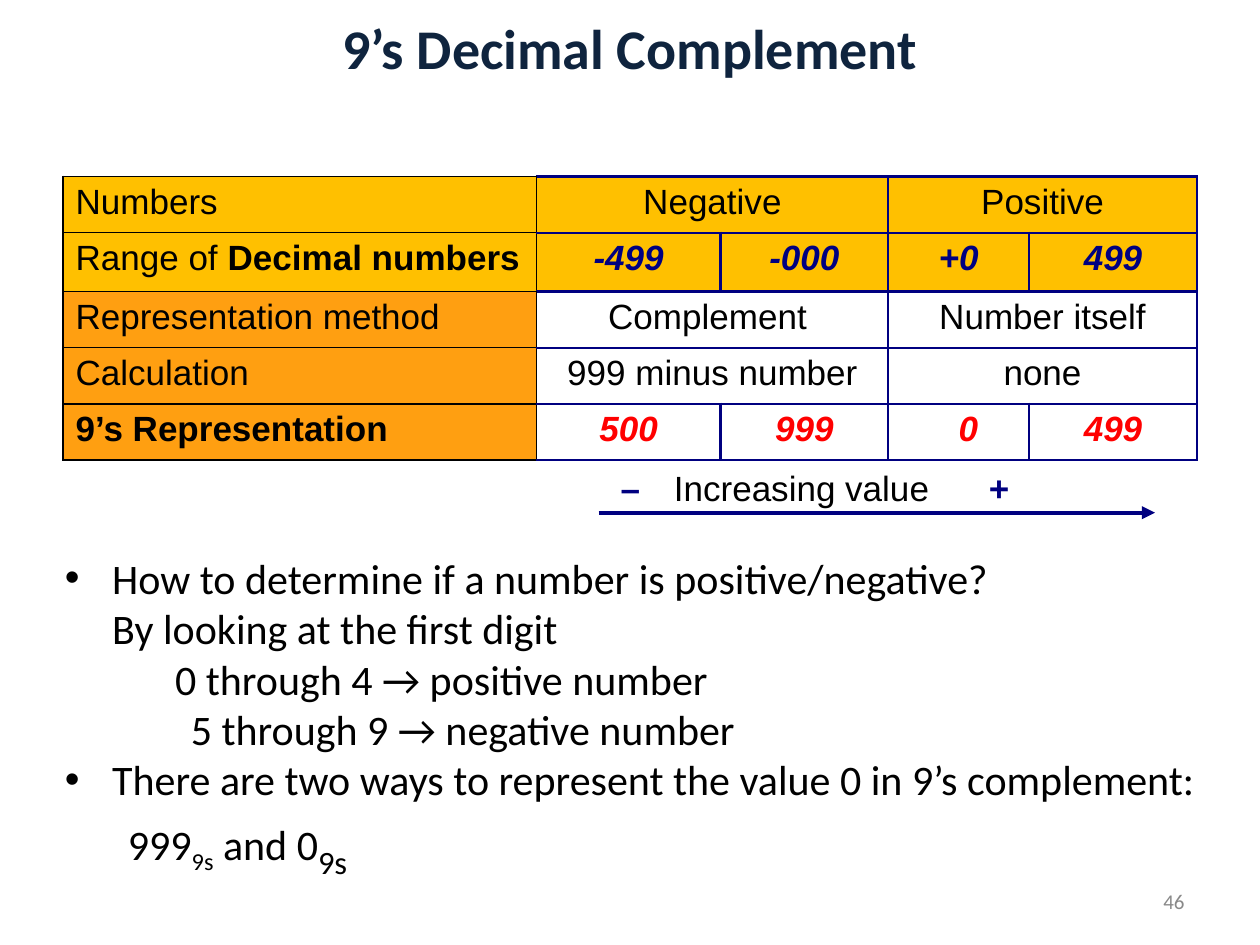
import pptx
import pptx.dml.color
import pptx.enum.text
import pptx.oxml.ns
import pptx.util
from lxml import etree

Pt = pptx.util.Pt
RGBColor = pptx.dml.color.RGBColor
Align = pptx.enum.text.PP_ALIGN
Anchor = pptx.enum.text.MSO_ANCHOR
qn = pptx.oxml.ns.qn

BLACK = RGBColor(0x00, 0x00, 0x00)
NAVY = RGBColor(0x00, 0x00, 0x80)
RED = RGBColor(0xFF, 0x00, 0x00)
TITLE_BLUE = RGBColor(0x0F, 0x24, 0x3E)
GREY = RGBColor(0x89, 0x89, 0x89)
GOLD = RGBColor(0xFF, 0xC0, 0x00)
ORANGE = RGBColor(0xFF, 0x9F, 0x11)

TITLE = {"name": "Calibri", "size": Pt(32), "bold": True, "color": TITLE_BLUE}
BODY = {"name": "Calibri", "size": Pt(24), "color": BLACK}
NUMBER = {"name": "Calibri", "size": Pt(12), "color": GREY}
PLAIN = {"name": "Arial", "size": Pt(20), "bold": False, "color": BLACK}
STRONG = {**PLAIN, "bold": True}
SIGN = {**STRONG, "color": NAVY}
RANGE = {**SIGN, "italic": True}
RESULT = {**RANGE, "color": RED}
SUBSCRIPT = {**BODY, "baseline": -25000}
LARGE_SUBSCRIPT = {**SUBSCRIPT, "size": Pt(32)}

COLUMNS = [270.7, 105.1, 95.8, 80.6, 95.8]
RANGE_ROWS = [
    [[("Numbers", PLAIN)], [("Negative", PLAIN)], None, [("Positive", PLAIN)], None],
    [[("Range of ", PLAIN), ("Decimal numbers", STRONG)]]
    + [[(value, RANGE)] for value in ("-499", "-000", "+0", "499")],
]
METHOD_ROWS = [
    [[("Representation method", PLAIN)], [("Complement ", PLAIN)], None,
     [("Number itself", PLAIN)], None],
    [[("Calculation", PLAIN)], [("999 minus number", PLAIN)], None,
     [("none", PLAIN)], None],
    [[("9’s Representation", STRONG)]]
    + [[(value, RESULT)] for value in ("500", "999", "0", "499")],
]
BODY_LINES = [
    ([("How to determine if a number is positive/negative?", BODY)], 27, True),
    ([("By looking at the first digit", BODY)], 27, False),
    ([("\t0 through 4 → positive number", BODY)], 27, False),
    ([("\t5 through 9 → negative number", BODY)], 36, False),
    ([("There are two ways to represent the value 0 in 9’s complement:", BODY)], 27, True),
    ([("\t999", BODY), ("9s", SUBSCRIPT), (" and 0", BODY), ("9s", LARGE_SUBSCRIPT)], 0, False),
]


class SlideBuilder:
    def __init__(self, deck):
        self.page = deck.slides.add_slide(deck.slide_layouts[5])

    def add_spans(self, para, spans, align=Align.LEFT):
        para.alignment = align
        for text, style in spans:
            span = para.add_run()
            span.text = text
            for key, value in style.items():
                if key == "color":
                    span.font.color.rgb = value
                elif key == "baseline":
                    span.font._element.set("baseline", str(value))
                else:
                    setattr(span.font, key, value)

    def title(self, text, left, top, width, height):
        box = self.page.shapes.title
        place = {"left": left, "top": top, "width": width, "height": height}
        for key, value in place.items():
            setattr(box, key, Pt(value))
        box.text_frame.vertical_anchor = Anchor.MIDDLE
        self.add_spans(box.text_frame.paragraphs[0], [(text, TITLE)], Align.CENTER)

    def text(self, lines, left, top, width, height, align=Align.LEFT, anchor=Anchor.TOP):
        box = self.page.shapes.add_textbox(Pt(left), Pt(top), Pt(width), Pt(height))
        frame = box.text_frame
        frame.word_wrap = True
        frame.vertical_anchor = anchor
        for index, (spans, indent, bullet) in enumerate(lines):
            para = frame.add_paragraph() if index else frame.paragraphs[0]
            properties = para._p.get_or_add_pPr()
            properties.set("marL", str(Pt(indent)))
            properties.set("indent", str(Pt(-indent if bullet else 0)))
            if bullet:
                etree.SubElement(properties, qn("a:buFont")).set("typeface", "Arial")
                etree.SubElement(properties, qn("a:buChar")).set("char", "•")
            self.add_spans(para, spans, align)

    def borders(self, cell, sides):
        properties = cell._tc.get_or_add_tcPr()
        for side, (color, width) in sides.items():
            line = etree.SubElement(properties, qn(f"a:ln{side}"), w=str(Pt(width)))
            fill = etree.SubElement(line, qn("a:solidFill"))
            etree.SubElement(fill, qn("a:srgbClr"), val=str(color))

    def table(self, rows, left, top, heights, label_fill, value_fill=None):
        frame = self.page.shapes.add_table(
            len(rows), len(COLUMNS), Pt(left), Pt(top), Pt(sum(COLUMNS)), Pt(sum(heights)))
        table = frame.table
        table.first_row = table.horz_banding = False
        for column, width in zip(table.columns, COLUMNS):
            column.width = Pt(width)
        for row, height in zip(table.rows, heights):
            row.height = Pt(height)
        for y, values in enumerate(rows):
            for x, spans in enumerate(values):
                cell = table.cell(y, x)
                sides = dict.fromkeys("LRTB", (BLACK, 1) if x == 0 else (NAVY, 1.5))
                if x == 1:
                    sides["L"] = (BLACK, 1)
                self.borders(cell, sides)
                fill = value_fill if x else label_fill
                if fill is None:
                    cell.fill.background()
                else:
                    cell.fill.solid()
                    cell.fill.fore_color.rgb = fill
                if spans is None:
                    table.cell(y, x - 1).merge(cell)
                else:
                    align = Align.CENTER if x else Align.LEFT
                    self.add_spans(cell.text_frame.paragraphs[0], spans, align)
        return table

    def arrow(self, x1, y1, x2, y2, color, width):
        arrow = self.page.shapes.add_connector(1, Pt(x1), Pt(y1), Pt(x2), Pt(y2))
        arrow.line.color.rgb = color
        arrow.line.width = Pt(width)
        properties = arrow._element.spPr
        etree.SubElement(properties.find(qn("a:ln")), qn("a:tailEnd"), type="triangle")
        etree.SubElement(properties, qn("a:effectLst"))


def main():
    deck = pptx.Presentation()
    deck.slide_width, deck.slide_height = Pt(720), Pt(540)
    slide = SlideBuilder(deck)
    slide.title("9’s Decimal Complement", 0, 0, 720, 54)
    slide.text([([("46", NUMBER)], 0, False)], 516, 500.5, 168, 28.8,
               Align.RIGHT, Anchor.MIDDLE)
    slide.text(BODY_LINES, 30, 312, 672, 198)
    slide.table(RANGE_ROWS, 36, 100.8, [32.2, 33.6], GOLD, GOLD)
    methods = slide.table(METHOD_ROWS, 36, 166.6, [32.1] * 3, ORANGE)
    methods.cell(2, 3).margin_left = Pt(18.3)
    slide.arrow(342, 293, 660, 293, NAVY, 2.5)
    scale = [(" –", SIGN), ("\tIncreasing value\t", PLAIN), ("+", SIGN)]
    slide.text([(scale, 0, False)], 342, 262.8, 320, 31.7)
    deck.save("out.pptx")


if __name__ == "__main__":
    main()
